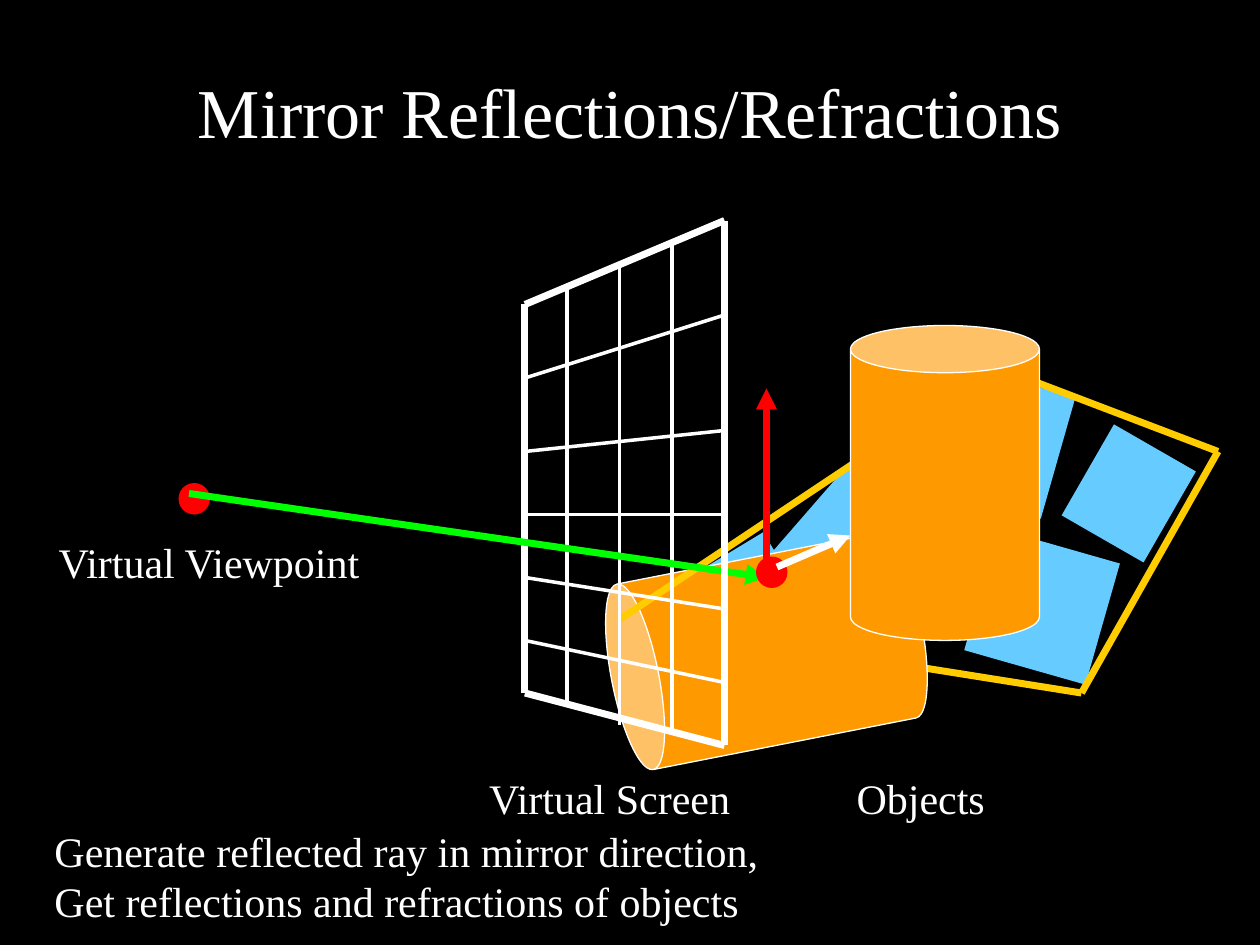
"""Build the slide on mirror reflections and refractions in ray tracing."""
from dataclasses import dataclass
from itertools import pairwise

import lxml.etree
import pptx
import pptx.dml.color
import pptx.enum.shapes
import pptx.enum.text
import pptx.oxml.ns
import pptx.util

COLUMNS, ROWS = 120, 90
CELL = pptx.util.Inches(10) / COLUMNS
FONT = "Times New Roman"
WHITE, RED, GREEN = "FFFFFF", "FF0000", "00FF00"
YELLOW, BLUE, ORANGE = "FFCC00", "66CCFF", "FF9900"
KIND = pptx.enum.shapes.MSO_SHAPE


@dataclass(frozen=True)
class Line:
    """A straight line between two grid points."""
    start: tuple[float, float]
    end: tuple[float, float]
    color: str = WHITE
    width: float = 4
    arrow: bool = False


@dataclass(frozen=True)
class Solid:
    """A filled preset shape placed on the grid."""
    kind: KIND
    box: tuple[float, float, float, float]
    color: str
    rotation: float = 0
    outlined: bool = False


@dataclass(frozen=True)
class Label:
    """Lines of text in a box placed on the grid."""
    box: tuple[float, float, float, float]
    lines: tuple[str, ...]


FLOOR = [(59, 59), (103, 66), (116, 43), (95, 35)]
FLOOR_EDGES = [Line(start, end, YELLOW) for start, end in pairwise(FLOOR + FLOOR[:1])]
LEFT, RIGHT = 50, 69
FRAME = [(LEFT, 66), (LEFT, 29), (RIGHT, 21), (RIGHT, 71)]
FRAME_EDGES = [Line(start, end) for start, end in pairwise(FRAME + FRAME[:1])]
VERTICALS = [(54, 27, 67), (59, 25, 69), (64, 23, 70)]
HORIZONTALS = [(36, 30), (43, 41), (49, 49), (55, 58), (61, 65)]
SCREEN_GRID = [Line((x, top), (x, bottom), width=2) for x, top, bottom in VERTICALS]
SCREEN_GRID += [Line((LEFT, y1), (RIGHT, y2), width=2) for y1, y2 in HORIZONTALS]

SCENE = [
    FLOOR_EDGES[0],
    Solid(KIND.RECTANGLE, (76, 46, 12, 12), BLUE, 41),
    Solid(KIND.RECTANGLE, (68, 52, 7, 7), BLUE, 58.8),
    Solid(KIND.CAN, (64, 47, 18, 30), ORANGE, 258.9, True),
    Solid(KIND.RECTANGLE, (89, 36, 12, 12), BLUE, 15.9),
    Solid(KIND.RECTANGLE, (93.25, 51.8, 12, 12), BLUE, 15.9),
    *FLOOR_EDGES[2:],
    *SCREEN_GRID,
    FLOOR_EDGES[1],
    Solid(KIND.RECTANGLE, (103, 42, 9, 10), BLUE, 29.9),
    Solid(KIND.OVAL, (17, 46, 3, 3), RED),
    Label((4.4, 50.5, 31.5, 6), ("Virtual Viewpoint",)),
    Label((45.4, 73, 25.5, 6), ("Virtual Screen",)),
    Label((80.4, 73, 14.7, 6), ("Objects",)),
    *FRAME_EDGES[:2],
    FRAME_EDGES[3],
    Solid(KIND.CAN, (81, 31, 18, 30), ORANGE, outlined=True),
    Line((18, 47), (73, 55), GREEN, arrow=True),
    Solid(KIND.OVAL, (72, 53, 3, 3), RED),
    Line((73, 54), (73, 37), RED, arrow=True),
    Line((74, 54), (81, 51), arrow=True),
    Label((4, 78, 70.4, 10.8), ("Generate reflected ray in mirror direction,",
                                "Get reflections and refractions of objects")),
    FRAME_EDGES[2],
]


def grid(*cells: float) -> list[pptx.util.Emu]:
    """Turn grid cells into lengths."""
    return [pptx.util.Emu(round(cell * CELL)) for cell in cells]


def paint(fill, color: str) -> None:
    """Give a fill one solid colour."""
    fill.solid()
    fill.fore_color.rgb = pptx.dml.color.RGBColor.from_string(color)


def format_text(paragraph, size: float) -> None:
    """Set the font of a whole paragraph."""
    paragraph.font.name = FONT
    paragraph.font.size = pptx.util.Pt(size)
    paint(paragraph.font.fill, WHITE)


def draw_line(slide, line: Line) -> None:
    """Draw a line, with an arrowhead at its end if it has one."""
    connector = slide.shapes.add_connector(
        pptx.enum.shapes.MSO_CONNECTOR.STRAIGHT, *grid(*line.start, *line.end))
    paint(connector.line.fill, line.color)
    connector.line.width = pptx.util.Pt(line.width)
    qualified = pptx.oxml.ns.qn
    if line.arrow:
        outline = connector.line._get_or_add_ln()
        lxml.etree.SubElement(outline, qualified("a:tailEnd"), type="triangle")
    lxml.etree.SubElement(connector._element.spPr, qualified("a:effectLst"))


def draw_solid(slide, solid: Solid) -> None:
    """Draw a filled shape."""
    shape = slide.shapes.add_shape(solid.kind, *grid(*solid.box))
    shape.rotation = solid.rotation
    shape.shadow.inherit = False
    paint(shape.fill, solid.color)
    if solid.outlined:
        paint(shape.line.fill, WHITE)
        shape.line.width = pptx.util.Pt(0.75)
    else:
        shape.line.fill.background()


def draw_label(slide, label: Label) -> None:
    """Draw a text box with one paragraph for each line."""
    frame = slide.shapes.add_textbox(*grid(*label.box)).text_frame
    frame.word_wrap = False
    frame.auto_size = pptx.enum.text.MSO_AUTO_SIZE.SHAPE_TO_FIT_TEXT
    frame.text = "\n".join(label.lines)
    for paragraph in frame.paragraphs:
        format_text(paragraph, 24)


def write_title(slide, text: str) -> None:
    """Fill and place the title placeholder."""
    title = slide.shapes.title
    title.left, title.top, title.width, title.height = grid(9, 5, 102, 11)
    title.text_frame.text = text
    title.text_frame.vertical_anchor = pptx.enum.text.MSO_ANCHOR.MIDDLE
    paragraph = title.text_frame.paragraphs[0]
    paragraph.alignment = pptx.enum.text.PP_ALIGN.CENTER
    format_text(paragraph, 40)


def main() -> None:
    """Build and save the presentation."""
    presentation = pptx.Presentation()
    presentation.slide_width, presentation.slide_height = grid(COLUMNS, ROWS)
    slide = presentation.slides.add_slide(presentation.slide_layouts[5])
    paint(slide.background.fill, "000000")
    write_title(slide, "Mirror Reflections/Refractions")
    draw = {Line: draw_line, Solid: draw_solid, Label: draw_label}
    for item in SCENE:
        draw[type(item)](slide, item)
    presentation.save("out.pptx")


if __name__ == "__main__":
    main()
